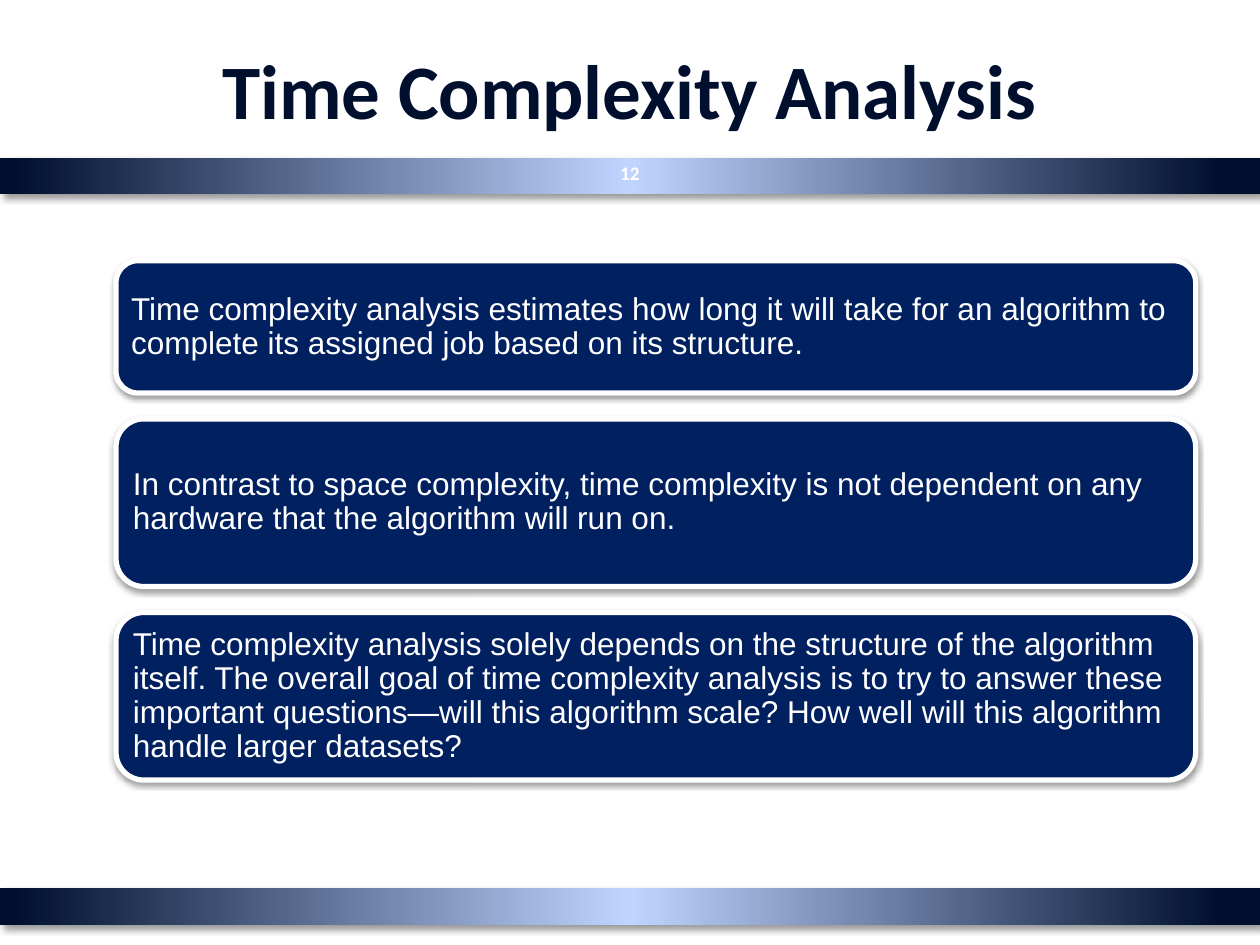
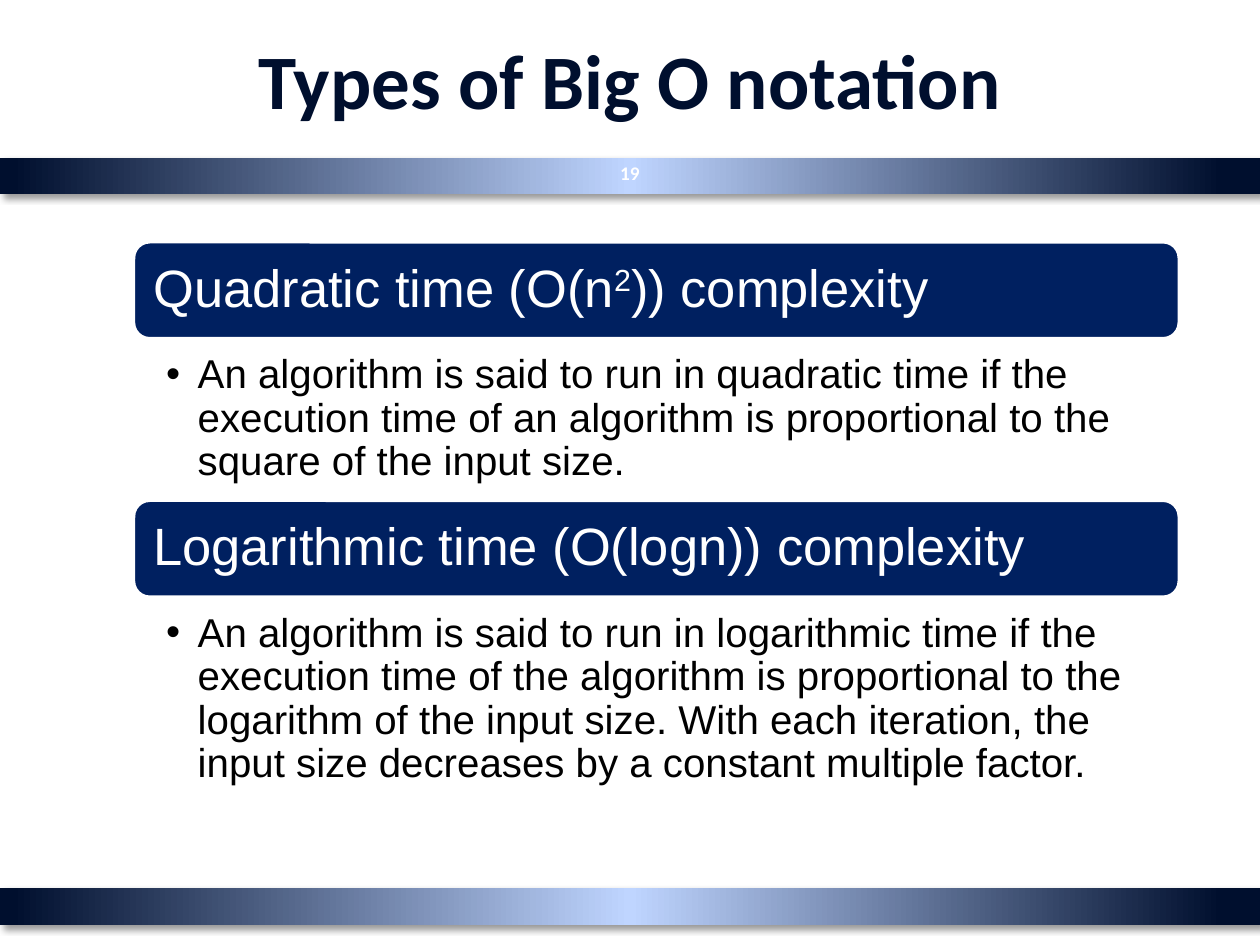
from dataclasses import dataclass
from typing import Optional

from lxml import etree
from pptx import Presentation
from pptx.dml import color
from pptx.enum import shapes, text
from pptx.oxml import ns
from pptx.util import Pt

NAVY, INK, SKY, WHITE, BLACK = "002060", "000F2E", "BFD5FF", "FFFFFF", "000000"
HEADING_FONT, BODY_FONT = "Calibri", "Arial"
SLIDE_WIDTH, SLIDE_HEIGHT = 720, 540
BAND_TOPS, BAND_HEIGHT = (90, 507.6), 20.9
BAND_STOPS = ((0, INK), (3, INK), (50, SKY), (99, INK), (100, INK))


@dataclass(frozen=True)
class Box:
    left: float
    top: float
    width: float
    height: float

    def lengths(self) -> tuple:
        return Pt(self.left), Pt(self.top), Pt(self.width), Pt(self.height)


@dataclass(frozen=True)
class Shadow:
    opacity: int
    blur: float
    distance: float
    angle: int


@dataclass(frozen=True)
class Style:
    size: float
    colour: str
    font: str = BODY_FONT
    bold: bool = False


@dataclass(frozen=True)
class Section:
    heading: tuple  # runs; a leading "^" marks a superscript
    body: str
    body_height: float


@dataclass(frozen=True)
class Card:
    words: str
    height: float


BAND_SHADOW = Shadow(40, 4, 3, 45)
CARD_SHADOW = Shadow(38, 3.1, 1.6, 90)
TITLE = Style(44, INK, HEADING_FONT, True)
PAGE_NUMBER = Style(11, WHITE, HEADING_FONT, True)
CARD_TEXT = Style(18, WHITE)
SECTION_HEADING = Style(30, WHITE)
SECTION_BODY = Style(23, BLACK)

CARDS = (
    Card("Time complexity analysis estimates how long it will take for an algorithm "
         "to complete its assigned job based on its structure.", 75.6),
    Card("In contrast to space complexity, time complexity is not dependent on any "
         "hardware that the algorithm will run on.", 95.8),
    Card("Time complexity analysis solely depends on the structure of the algorithm "
         "itself. The overall goal of time complexity analysis is to try to answer "
         "these important questions—will this algorithm scale? How well will this "
         "algorithm handle larger datasets?", 95.8),
)
SECTIONS = (
    Section(("Quadratic time (O(n", "^2", ")) complexity"),
            "An algorithm is said to run in quadratic time if the execution time of an "
            "algorithm is proportional to the square of the input size.", 78.5),
    Section(("Logarithmic time (O(logn)) complexity",),
            "An algorithm is said to run in logarithmic time if the execution time of "
            "the algorithm is proportional to the logarithm of the input size. With each "
            "iteration, the input size decreases by a constant multiple factor.", 103),
)


# Formatting helpers
def rgb(value: str) -> color.RGBColor:
    return color.RGBColor.from_string(value)


def add_node(parent, tag: str, **attributes):
    node = etree.SubElement(parent, ns.qn(tag))
    for name, value in attributes.items():
        node.set(name, str(value))
    return node


def set_shadow(shape, shadow: Optional[Shadow]) -> None:
    shape.shadow.inherit = False
    if shadow:
        effects = shape._element.spPr.find(ns.qn("a:effectLst"))
        outer = add_node(effects, "a:outerShdw", blurRad=Pt(shadow.blur),
                         dist=Pt(shadow.distance), dir=shadow.angle * 60000,
                         algn="ctr", rotWithShape=0)
        tone = add_node(outer, "a:srgbClr", val=BLACK)
        add_node(tone, "a:alpha", val=shadow.opacity * 1000)


def set_frame(shape, insets: tuple, anchor=text.MSO_ANCHOR.MIDDLE):
    frame = shape.text_frame
    frame.word_wrap = True
    frame.auto_size = text.MSO_AUTO_SIZE.NONE
    frame.vertical_anchor = anchor
    (frame.margin_left, frame.margin_top,
     frame.margin_right, frame.margin_bottom) = map(Pt, insets)
    return frame.paragraphs[0]


def write(paragraph, runs: tuple, style: Style, alignment=text.PP_ALIGN.LEFT,
          line_spacing: float = 0.9) -> None:
    paragraph.alignment = alignment
    paragraph.line_spacing = line_spacing
    for words in runs:
        run = paragraph.add_run()
        run.text = words.removeprefix("^")
        run.font.name, run.font.size = style.font, Pt(style.size)
        run.font.bold = style.bold
        run.font.color.rgb = rgb(style.colour)
        if words.startswith("^"):
            run._r.get_or_add_rPr().set("baseline", "30000")


# Parts shared by the slides
def add_band(slide, top: float) -> None:
    band = slide.shapes.add_shape(shapes.MSO_SHAPE.RECTANGLE,
                                  *Box(0, top, SLIDE_WIDTH, BAND_HEIGHT).lengths())
    band.line.fill.background()
    band.fill.gradient()
    band.fill.gradient_angle = 180
    stops = band._element.spPr.find(ns.qn("a:gradFill")).find(ns.qn("a:gsLst"))
    for stop in list(stops):
        stops.remove(stop)
    for position, value in BAND_STOPS:
        stop = add_node(stops, "a:gs", pos=position * 1000)
        add_node(stop, "a:srgbClr", val=value)
    set_shadow(band, BAND_SHADOW)


def add_titled_slide(presentation, title: str, title_top: float, number: str):
    slide = presentation.slides.add_slide(presentation.slide_layouts[5])
    for top in BAND_TOPS:
        add_band(slide, top)
    heading = slide.shapes.title
    heading.left, heading.top, heading.width, heading.height = Box(
        36, title_top, 648, 90).lengths()
    page = slide.shapes.add_textbox(*Box(345, 84.2, 30, 28.8).lengths())
    for shape, words, style in ((heading, title, TITLE), (page, number, PAGE_NUMBER)):
        paragraph = set_frame(shape, (7.2, 3.6, 7.2, 3.6))
        write(paragraph, (words,), style, text.PP_ALIGN.CENTER, 1.0)
    return slide


def add_panel(slide, box: Box, runs: tuple, style: Style, inset: float,
              line_width: float, shadow: Optional[Shadow] = None) -> None:
    panel = slide.shapes.add_shape(shapes.MSO_SHAPE.ROUNDED_RECTANGLE, *box.lengths())
    panel.fill.solid()
    panel.fill.fore_color.rgb = rgb(NAVY)
    panel.line.color.rgb = rgb(WHITE)
    panel.line.width = Pt(line_width)
    set_shadow(panel, shadow)
    write(set_frame(panel, (inset,) * 4), runs, style)


def add_bullet(slide, box: Box, words: str) -> None:
    shape = slide.shapes.add_textbox(*box.lengths())
    paragraph = set_frame(shape, (18.7, 2.9, 16.6, 2.9), text.MSO_ANCHOR.TOP)
    properties = paragraph._p.get_or_add_pPr()
    properties.set("marL", str(Pt(18)))
    properties.set("indent", str(Pt(-18)))
    add_node(add_node(properties, "a:buClr"), "a:srgbClr", val=BLACK)
    add_node(properties, "a:buFont", typeface=BODY_FONT)
    add_node(properties, "a:buChar", char="•")
    write(paragraph, (words,), SECTION_BODY)


# Slides
def build_analysis(presentation) -> None:
    slide = add_titled_slide(presentation, "Time Complexity Analysis", 5.8, "12")
    top, gap = 149, 14.8
    for card in CARDS:
        add_panel(slide, Box(66.3, top, 617, card.height), (card.words,),
                  CARD_TEXT, 5, 3, CARD_SHADOW)
        top += card.height + gap


def build_notation(presentation) -> None:
    slide = add_titled_slide(presentation, "Types of Big O notation", 0, "19")
    left, top, width, heading_height = 76.3, 138.2, 597.6, 55.4
    body_gap, section_gap = 5.8, 8
    for section in SECTIONS:
        add_panel(slide, Box(left, top, width, heading_height), section.heading,
                  SECTION_HEADING, 8.6, 2)
        top += heading_height + body_gap
        add_bullet(slide, Box(left, top, width, section.body_height), section.body)
        top += section.body_height + section_gap


def main() -> None:
    presentation = Presentation()
    presentation.slide_width, presentation.slide_height = Pt(SLIDE_WIDTH), Pt(SLIDE_HEIGHT)
    build_analysis(presentation)
    build_notation(presentation)
    presentation.save("out.pptx")


if __name__ == "__main__":
    main()
